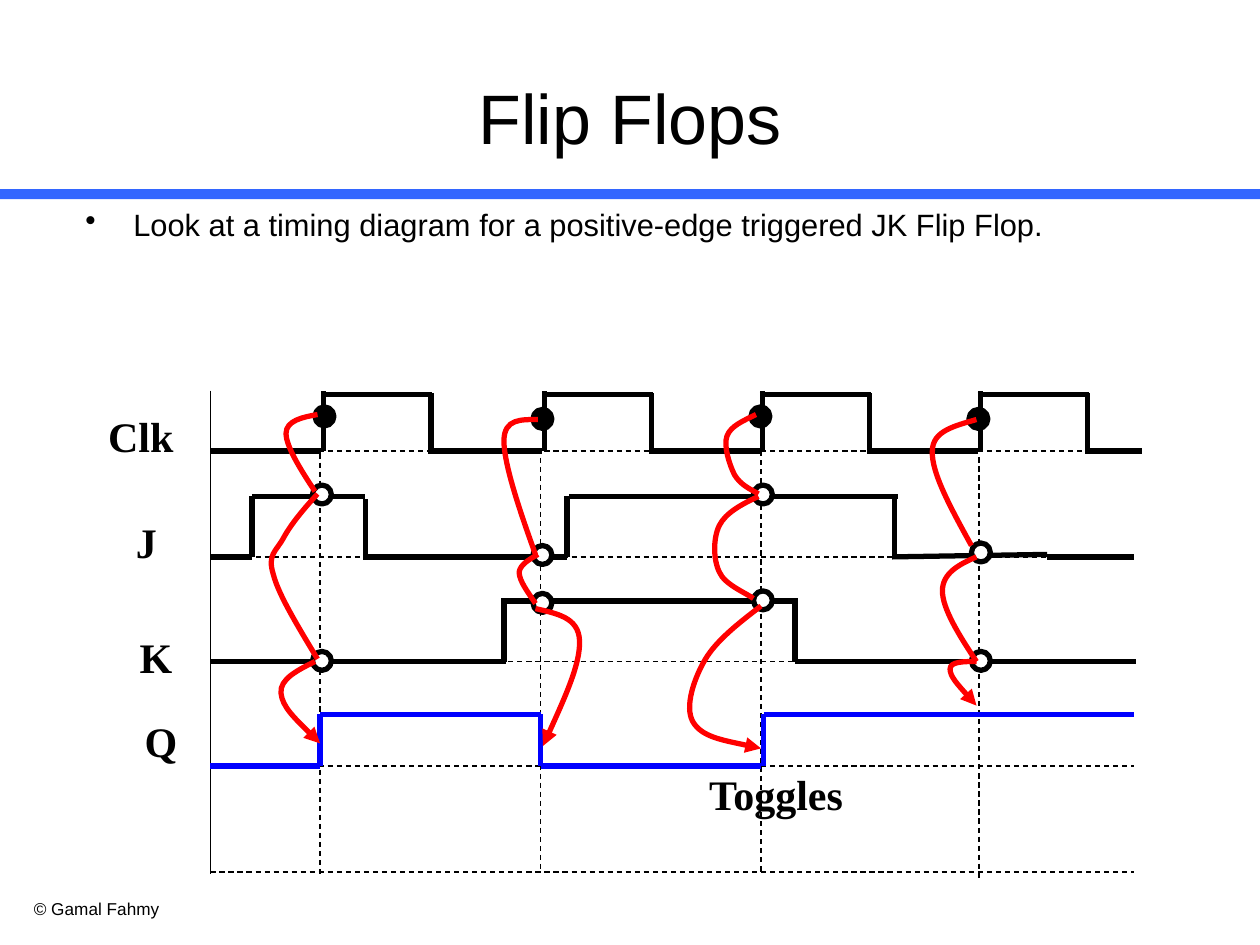
from lxml.etree import SubElement
from pptx import Presentation
from pptx.dml.color import RGBColor
from pptx.enum.dml import MSO_LINE
from pptx.enum.shapes import MSO_CONNECTOR, MSO_SHAPE
from pptx.enum.text import MSO_ANCHOR, PP_ALIGN
from pptx.oxml.ns import qn
from pptx.util import Inches, Pt

COLORS = {"ink": "000000", "paper": "FFFFFF", "rule": "3366FF", "output": "0000FF", "cause": "FF0000"}
RGB = {role: RGBColor.from_string(value) for role, value in COLORS.items()}

prs = Presentation()
prs.slide_width, prs.slide_height = Inches(10), Inches(7.5)
slide = prs.slides.add_slide(prs.slide_layouts[6])


def add_text(shapes, text, box, size, font="Arial", bold=False, wrap=True):
    frame = shapes.add_textbox(*map(Inches, box)).text_frame
    frame.word_wrap = wrap
    frame.text = text
    run = frame.paragraphs[0].runs[0]
    run.font.size, run.font.name, run.font.bold = Pt(size), font, bold
    run.font.color.rgb = RGB["ink"]
    return frame


def add_line(shapes, ends, color="ink", width=3, dash=None):
    line = shapes.add_connector(MSO_CONNECTOR.STRAIGHT, *map(Inches, ends))
    line.line.color.rgb = RGB[color]
    line.line.width = Pt(width)
    if dash:
        line.line.dash_style = dash
    SubElement(line._element.spPr, qn("a:effectLst"))


rule = slide.shapes.add_shape(MSO_SHAPE.RECTANGLE, 0, Inches(1.5), Inches(10), Inches(0.08))
rule.shadow.inherit = False
rule.fill.solid()
rule.fill.fore_color.rgb = RGB["rule"]
rule.line.fill.background()

add_text(slide.shapes, "© Gamal Fahmy", (0.17, 7.08, 2.17, 0.27), 9.8)
title = add_text(slide.shapes, "Flip Flops", (0.5, 0.3, 9, 1.25), 40)
title.vertical_anchor = MSO_ANCHOR.MIDDLE
title.paragraphs[0].alignment = PP_ALIGN.CENTER

intro = add_text(
    slide.shapes,
    "Look at a timing diagram for a positive-edge triggered JK Flip Flop.",
    (0.58, 1.58, 8.5, 0.71),
    17.6,
).paragraphs[0]
intro.space_before = Pt(8)
intro_props = intro._p.get_or_add_pPr()
intro_props.set("marL", str(Inches(0.38)))
intro_props.set("indent", str(Inches(-0.38)))
SubElement(intro_props, qn("a:buChar"), char="•")

diagram = slide.shapes.add_group_shape().shapes
for x, top in ((2.54, 3.6), (4.29, 3.56), (6.04, 3.58), (7.77, 3.63)):
    add_line(diagram, (x, top, x, top + 3.36), width=0.75, dash=MSO_LINE.DASH)
add_line(diagram, (1.67, 3.1, 1.67, 6.94), width=0.75)
for y in (3.58, 4.42, 5.25, 6.08, 6.92):
    add_line(diagram, (1.67, y, 9, y), width=0.75, dash=MSO_LINE.DASH)

low_start = 1.67
for rise in (2.55, 4.3, 6.03, 7.76):
    fall = rise + 0.87
    add_line(diagram, (low_start, 3.58, rise, 3.58))
    add_line(diagram, (rise + 0.02, 3.58, rise + 0.02, 3.1))
    add_line(diagram, (rise, 3.13, rise + 0.88, 3.13))
    add_line(diagram, (fall, 3.6, fall, 3.12))
    low_start = fall
add_line(diagram, (low_start, 3.58, 9.06, 3.58))

j_wave = [
    (1.67, 4.42, 2, 4.42), (2, 4.42, 2, 3.94), (2, 3.94, 2.9, 3.94),
    (2.9, 4.44, 2.9, 3.96), (2.88, 4.42, 4.5, 4.42), (4.5, 4.42, 4.5, 3.94),
    (4.52, 3.94, 7.13, 3.94), (7.1, 3.94, 7.1, 4.42), (7.08, 4.42, 8.31, 4.4),
    (8.31, 4.42, 9, 4.42),
]
k_wave = [
    (1.67, 5.25, 4.02, 5.25), (4, 5.25, 4, 4.77), (3.98, 4.77, 6.33, 4.77),
    (6.31, 5.25, 6.31, 4.77), (6.31, 5.25, 9.02, 5.25),
]
q_wave = [
    (1.67, 6.08, 2.54, 6.08), (2.54, 5.67, 2.54, 6.08), (2.54, 5.67, 4.29, 5.67),
    (4.29, 5.67, 4.29, 6.08), (4.29, 6.08, 6.04, 6.08), (6.06, 6.08, 6.06, 5.67),
    (6.06, 5.67, 7.77, 5.67), (7.77, 5.67, 9, 5.67),
]
for ends in j_wave + k_wave:
    add_line(diagram, ends)
for ends in q_wave:
    add_line(slide.shapes, ends, "output")

for signal, box in (
    ("Clk", (0.76, 3.21, 0.72, 0.5)),
    ("J", (0.98, 4.05, 0.36, 0.5)),
    ("K", (1.01, 4.96, 0.46, 0.5)),
    ("Q", (1.05, 5.63, 0.46, 0.5)),
    ("Toggles", (5.53, 6.05, 1.29, 0.5)),
):
    add_text(slide.shapes, signal, box, 24, "Times New Roman", True, False)

edges = [
    (
        [(2.5, 3.23), (2.48, 3.85), (2.48, 5.17)],
        [
            [(2.52, 3.29), (2.4, 3.31), (2.27, 3.34), (2.27, 3.44), (2.27, 3.54), (2.38, 3.72), (2.5, 3.9)],
            [(2.52, 3.92), (2.41, 4.04), (2.31, 4.16), (2.25, 4.27), (2.19, 4.38), (2.12, 4.4), (2.17, 4.56),
             (2.21, 4.72), (2.37, 4.98), (2.52, 5.23)],
            [(2.5, 5.25), (2.36, 5.32), (2.22, 5.39), (2.23, 5.5), (2.24, 5.61), (2.39, 5.75), (2.54, 5.9)],
        ],
    ),
    (
        [(4.23, 3.25), (4.23, 4.33), (4.23, 4.71)],
        [
            [(4.27, 3.33), (4.14, 3.33), (4, 3.32), (4, 3.5), (4, 3.68), (4.12, 4.04), (4.25, 4.4)],
            [(4.27, 4.4), (4.2, 4.44), (4.13, 4.48), (4.12, 4.54), (4.12, 4.61), (4.19, 4.7), (4.25, 4.79)],
            [(4.25, 4.83), (4.42, 4.87), (4.59, 4.9), (4.6, 5.08), (4.61, 5.26), (4.46, 5.59), (4.31, 5.92)],
        ],
    ),
    (
        [(5.96, 3.23), (5.98, 3.85), (5.98, 4.69)],
        [
            [(6, 3.29), (5.9, 3.34), (5.8, 3.38), (5.77, 3.46), (5.74, 3.54), (5.79, 3.69), (5.83, 3.77),
             (5.88, 3.85), (5.95, 3.88), (6.02, 3.92)],
            [(6.02, 3.94), (5.89, 4), (5.76, 4.07), (5.71, 4.17), (5.66, 4.27), (5.66, 4.44), (5.71, 4.54),
             (5.75, 4.64), (5.93, 4.71), (5.98, 4.75)],
            [(6.04, 4.81), (5.87, 4.94), (5.69, 5.08), (5.6, 5.23), (5.51, 5.38), (5.43, 5.61), (5.5, 5.73),
             (5.57, 5.85), (5.81, 5.89), (6.04, 5.94)],
        ],
    ),
    (
        [(7.69, 3.25), (7.71, 4.31), (7.71, 5.17)],
        [
            [(7.75, 3.33), (7.58, 3.38), (7.4, 3.42), (7.4, 3.58), (7.39, 3.75), (7.55, 4.04), (7.71, 4.33)],
            [(7.75, 4.42), (7.61, 4.48), (7.48, 4.55), (7.48, 4.69), (7.48, 4.83), (7.61, 5.04), (7.75, 5.25)],
            [(7.75, 5.25), (7.65, 5.25), (7.54, 5.25), (7.54, 5.31), (7.54, 5.37), (7.65, 5.49), (7.75, 5.6)],
        ],
    ),
]

for samples, curves in edges:
    edge = slide.shapes.add_group_shape().shapes
    for (x, y), fill in zip(samples, ("ink", "paper", "paper")):
        sample = edge.add_shape(MSO_SHAPE.OVAL, Inches(x), Inches(y), Inches(0.15), Inches(0.15))
        sample.shadow.inherit = False
        sample.fill.solid()
        sample.fill.fore_color.rgb = RGB[fill]
        sample.line.color.rgb = RGB["ink"]
        sample.line.width = Pt(3)
    for curve in curves:
        start, *controls = [(Inches(x), Inches(y)) for x, y in curve]
        outline = edge.build_freeform(*start)
        outline.add_line_segments(controls, close=False)
        arrow = outline.convert_to_shape()
        arrow.shadow.inherit = False
        arrow.fill.background()
        arrow.line.color.rgb = RGB["cause"]
        arrow.line.width = Pt(3)
        route = arrow._element.find(".//" + qn("a:path"))
        steps = route.findall(qn("a:lnTo"))
        for first in range(0, len(steps), 3):
            bend = SubElement(route, qn("a:cubicBezTo"))
            for step in steps[first:first + 3]:
                bend.append(step[0])
                route.remove(step)
    SubElement(arrow.line._get_or_add_ln(), qn("a:tailEnd"), type="triangle")

prs.save("out.pptx")
